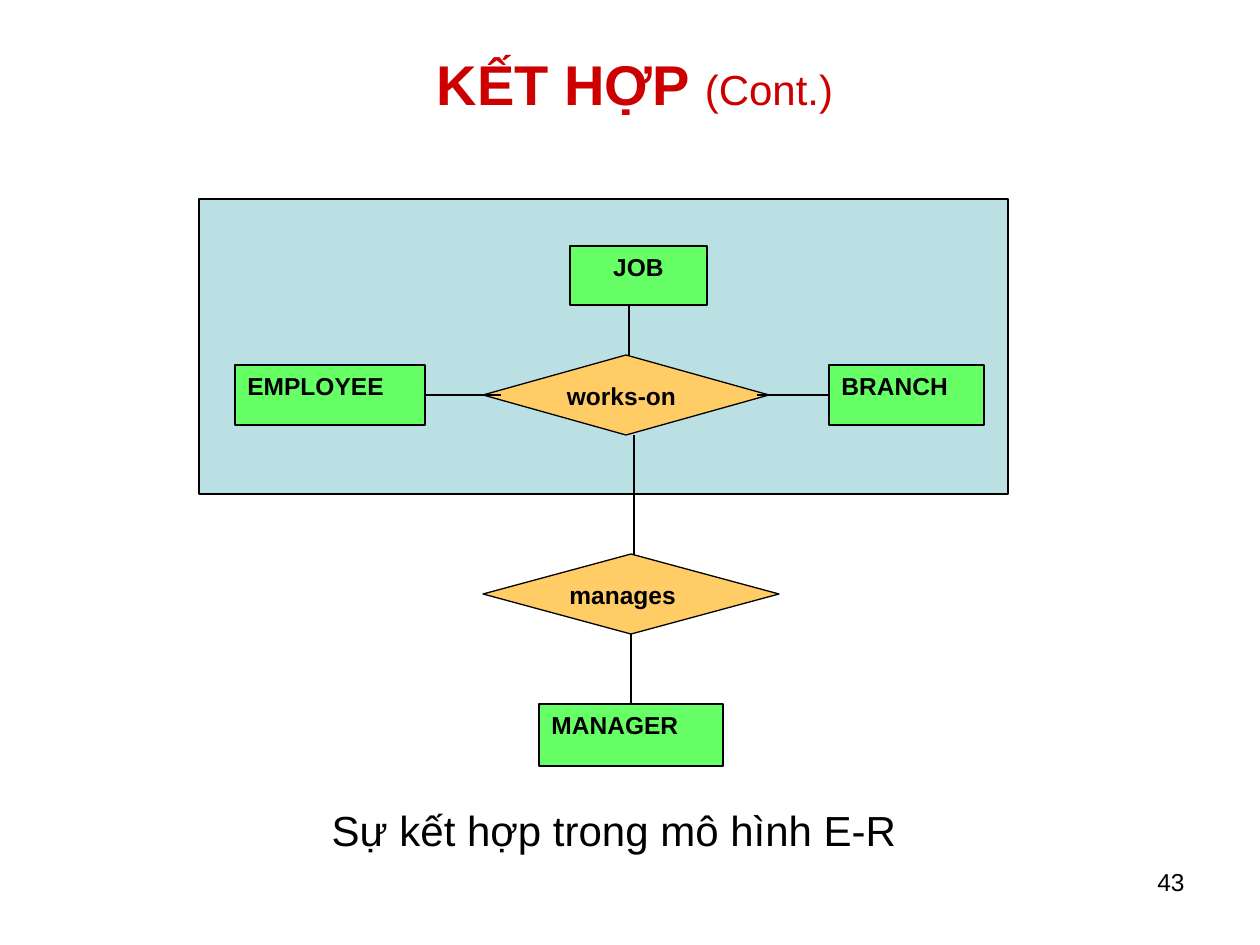
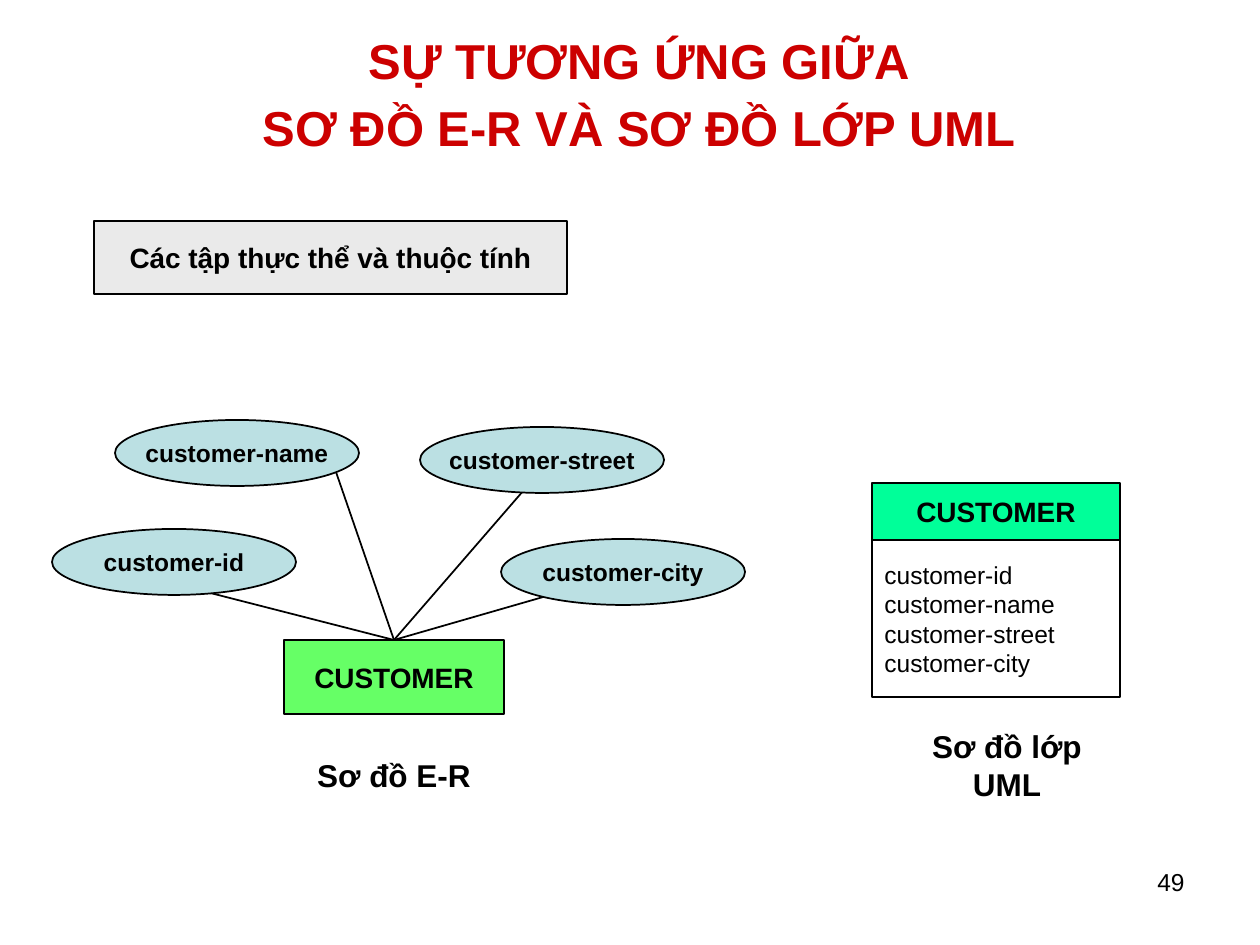
from lxml.etree import SubElement
from pptx import Presentation
from pptx.dml.color import RGBColor
from pptx.enum.shapes import MSO_CONNECTOR, MSO_SHAPE as SHAPE
from pptx.enum.text import MSO_ANCHOR as ANCHOR, PP_ALIGN as ALIGN
from pptx.oxml.ns import qn
from pptx.util import Emu, Pt

PX = 914400 / 126
FONT = "Arial"
COLORS = {
    "title": "CC0000",
    "ink": "000000",
    "entity": "66FF66",
    "relation": "FFCC66",
    "soft": "BBE0E3",
    "note": "EAEAEA",
    "class": "00FF99",
}
TOP, LEFT, BOTTOM, RIGHT = 0, 1, 2, 3

# Styles: geometry, fill, line width and text format
AGGREGATE = dict(geo=SHAPE.RECTANGLE, fill="soft", line=0.75)
ENTITY = dict(geo=SHAPE.RECTANGLE, fill="entity", line=0.75, size=14, bold=True)
JOB_ENTITY = dict(ENTITY, align=ALIGN.CENTER)
RELATION = dict(ENTITY, geo=SHAPE.DIAMOND, fill="relation")
CENTERED = dict(bold=True, align=ALIGN.CENTER, anchor=ANCHOR.MIDDLE, wrap=False)
NOTE = dict(CENTERED, geo=SHAPE.RECTANGLE, fill="note", line=1, size=16)
CUSTOMER = dict(NOTE, fill="entity")
CLASS_NAME = dict(NOTE, fill="class")
CLASS_BODY = dict(geo=SHAPE.RECTANGLE, line=1, size=14, anchor=ANCHOR.MIDDLE)
ATTRIBUTE = dict(CENTERED, geo=SHAPE.OVAL, fill="soft", line=1, size=14)
CAPTION = dict(CENTERED, size=18)
FOOTNOTE = dict(size=24, align=ALIGN.CENTER)
PAGE_NUMBER = dict(size=14, align=ALIGN.RIGHT)
TITLE = dict(color="title", align=ALIGN.CENTER, anchor=ANCHOR.MIDDLE, spacing=1.15)

ATTRIBUTES = ["customer-id", "customer-name", "customer-street", "customer-city"]

# Title: paragraphs of (text, size, bold) runs
AGGREGATION = dict(
    number="43",
    title_at=(21, 10),
    title=[[("KẾT HỢP ", 32, True), ("(Cont.)", 24, False)]],
    # (text, (left, top, width, height), style)
    parts=[
        ("", (199, 199, 809, 295), AGGREGATE),
        ("JOB", (570, 246, 137, 59), JOB_ENTITY),
        ("EMPLOYEE", (235, 365, 190, 60), ENTITY),
        ("BRANCH", (829, 365, 155, 60), ENTITY),
        ("works-on", (483, 355, 286, 80), RELATION),
        ("manages", (483, 554, 296, 80), RELATION),
        ("MANAGER", (539, 704, 184, 62), ENTITY),
        ("Sự kết hợp trong mô hình E-R", (42, 798, 1144, 116), FOOTNOTE),
    ],
    # Each end is a point or (part, side)
    links=[
        (("EMPLOYEE", RIGHT), (501, 395)),
        ((757, 395), ("BRANCH", LEFT)),
        ((629, 305), (629, 355)),
        ((634, 435), (634, 555)),
        (("manages", BOTTOM), ("MANAGER", TOP)),
    ],
    link_width=0.75,
    front=[],
)

ATTRIBUTE_PLACES = [(52, 529), (115, 420), (420, 427), (501, 539)]
ATTRIBUTE_LINKS = [(179, 585), (336, 472), (524, 490), (585, 585)]

CORRESPONDENCE = dict(
    number="49",
    title_at=(25, 21),
    title=[[("SỰ TƯƠNG ỨNG GIỮA", 28, True)],
           [("SƠ ĐỒ E-R VÀ SƠ ĐỒ LỚP UML", 28, True)]],
    parts=[
        ("Các tập thực thể và thuộc tính", (94, 221, 473, 73), NOTE),
        ("Sơ đồ lớp UML", (883, 742, 248, 46), CAPTION),
        ("CUSTOMER", (872, 483, 248, 57), CLASS_NAME),
        ("\n".join(ATTRIBUTES), (872, 540, 248, 157), CLASS_BODY),
        ("Sơ đồ E-R", (263, 751, 262, 48), CAPTION),
        ("CUSTOMER", (284, 640, 220, 74), CUSTOMER),
    ],
    links=[(("CUSTOMER", TOP), point) for point in ATTRIBUTE_LINKS],
    link_width=1,
    front=[(name, (*place, 244, 66), ATTRIBUTE)
           for name, place in zip(ATTRIBUTES, ATTRIBUTE_PLACES)],
)


def rgb(name):
    return RGBColor.from_string(COLORS[name])


def px(*lengths):
    return [Emu(round(n * PX)) for n in lengths]


def write(sp, paragraphs, style):
    tf = sp.text_frame
    tf.word_wrap = style.get("wrap", True)
    tf.vertical_anchor = style.get("anchor", ANCHOR.TOP)
    for i, runs in enumerate(paragraphs):
        p = tf.paragraphs[0] if i == 0 else tf.add_paragraph()
        p.alignment = style.get("align", ALIGN.LEFT)
        p.line_spacing = style.get("spacing")
        for text, size, bold in runs:
            r = p.add_run()
            r.text = text
            for key, value in dict(name=FONT, size=Pt(size), bold=bold).items():
                setattr(r.font, key, value)
            r.font.color.rgb = rgb(style.get("color", "ink"))


def add_part(s, text, box, style):
    """Add a shape, or a text box when the style has no geometry."""
    if "geo" in style:
        sp = s.shapes.add_shape(style["geo"], *px(*box))
        sp.shadow.inherit = False
        if "fill" in style:
            sp.fill.solid()
            sp.fill.fore_color.rgb = rgb(style["fill"])
        else:
            sp.fill.background()
        sp.line.color.rgb = rgb("ink")
        sp.line.width = Pt(style["line"])
    else:
        sp = s.shapes.add_textbox(*px(*box))
    if text:
        lines = [[(line, style["size"], style.get("bold", False))]
                 for line in text.split("\n")]
        write(sp, lines, style)
    return sp


def add_link(s, ends, parts, width):
    points = [(0, 0) if isinstance(end[0], str) else end for end in ends]
    link = s.shapes.add_connector(MSO_CONNECTOR.STRAIGHT, *px(*points[0], *points[1]))
    for end, connect in zip(ends, (link.begin_connect, link.end_connect)):
        if isinstance(end[0], str):
            connect(parts[end[0]], end[1])
    link.line.color.rgb = rgb("ink")
    link.line.width = Pt(width)
    SubElement(link.element.spPr, qn("a:effectLst"))


def add_slide(prs, content):
    s = prs.slides.add_slide(prs.slide_layouts[6])
    title = s.shapes.add_textbox(*px(*content["title_at"], 1228, 136))
    write(title, content["title"], TITLE)
    parts = {part[0]: add_part(s, *part) for part in content["parts"]}
    for ends in content["links"]:
        add_link(s, ends, parts, content["link_width"])
    for part in content["front"]:
        add_part(s, *part)
    add_part(s, content["number"], (903, 861, 294, 66), PAGE_NUMBER)


def main():
    prs = Presentation()
    prs.slide_width, prs.slide_height = px(1260, 945)
    for content in (AGGREGATION, CORRESPONDENCE):
        add_slide(prs, content)
    prs.save("out.pptx")


if __name__ == "__main__":
    main()
